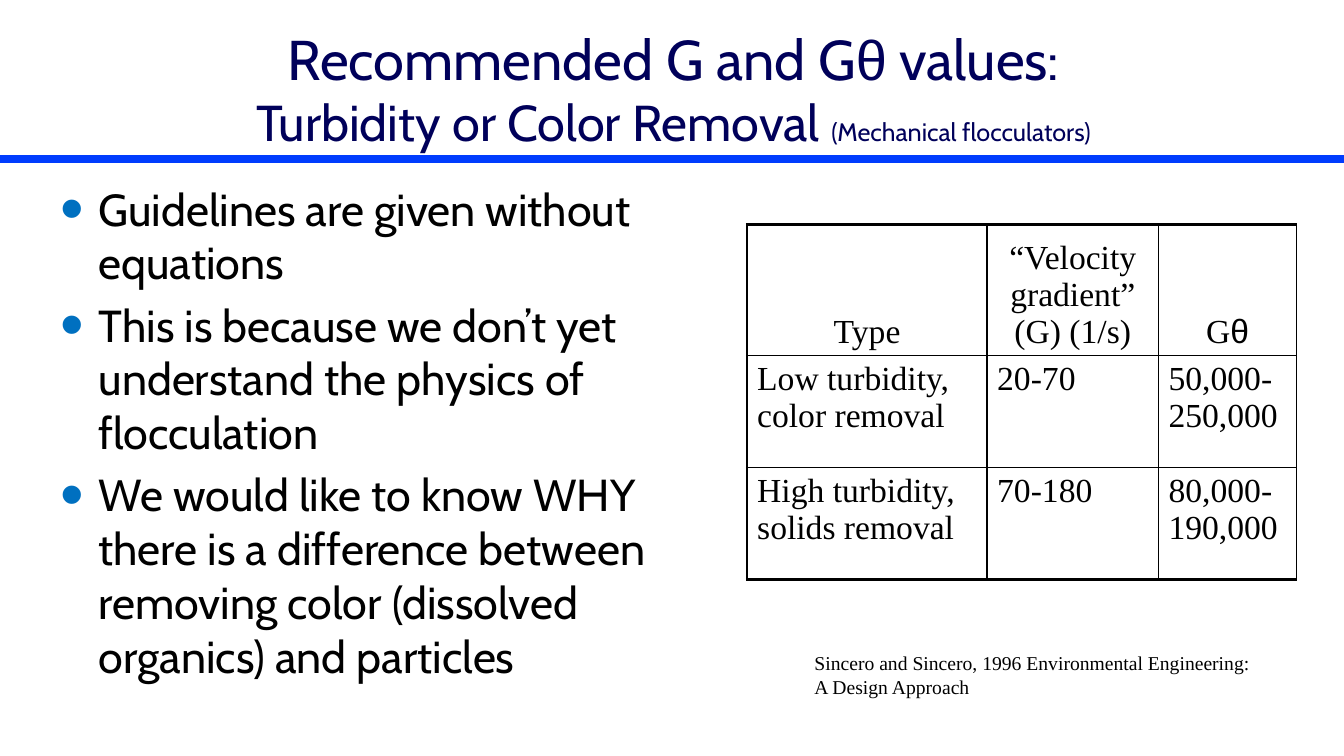
from lxml.etree import SubElement
from pptx import Presentation
from pptx.dml.color import RGBColor
from pptx.enum.shapes import MSO_CONNECTOR
from pptx.enum.text import MSO_ANCHOR, PP_ALIGN
from pptx.oxml.ns import qn
from pptx.util import Emu, Pt

COLORS = {"rule": "003CFE", "title": "00005A", "text": "000000",
          "bullet": "0070C0", "paper": "FFFFFF"}
SANS, SERIF, GREEK = "Cabin", "Times New Roman", "Arial"
WIDE, HIGH = 1333, 750

HEAD = [[("Type", SERIF)], [("“Velocity gradient” (G) (1/s)", SERIF)],
        [("G", SERIF), ("θ", GREEK)]]
DATA = [("Low turbidity, color removal", "20-70", "50,000-250,000"),
        ("High turbidity, solids removal", "70-180", "80,000-190,000")]
ROWS = [HEAD] + [[[(text, SERIF)] for text in row] for row in DATA]
POINTS = [
    "Guidelines are given without equations",
    "This is because we don’t yet understand the physics of flocculation",
    "We would like to know WHY there is a difference between removing color "
    "(dissolved organics) and particles",
]


def px(count):
    """Turn px into EMU, at 100 px to the inch."""
    return Emu(count * 9144)


def color(name):
    return RGBColor.from_string(COLORS[name])


def add_run(para, text, size, font, tint="text"):
    run = para.add_run()
    run.text = text
    run.font.size = Pt(size)
    run.font.name = font
    run.font.color.rgb = color(tint)


def add_box(slide, box, anchor=MSO_ANCHOR.TOP):
    frame = slide.shapes.add_textbox(*map(px, box)).text_frame
    frame.word_wrap = True
    frame.vertical_anchor = anchor
    return frame


def add_rule(slide, top):
    line = slide.shapes.add_connector(
        MSO_CONNECTOR.STRAIGHT, 0, px(top), px(WIDE), px(top))
    line.line.width = Pt(6)
    line.line.color.rgb = color("rule")
    SubElement(line.element.spPr, qn("a:effectLst"))


def add_title(slide, box):
    para = add_box(slide, box, MSO_ANCHOR.MIDDLE).paragraphs[0]
    para.alignment = PP_ALIGN.CENTER
    for text, font in (("Recommended G and G", SANS), ("θ", GREEK),
                       (" values:", SANS)):
        add_run(para, text, 40, font, "title")
    para.add_line_break()
    add_run(para, "Turbidity or Color Removal ", 36, SANS, "title")
    add_run(para, "(Mechanical flocculators)", 18, SANS, "title")


def set_bullet(para):
    props = para._p.get_or_add_pPr()
    props.set("marL", str(px(38)))
    props.set("indent", str(-px(38)))
    tint = SubElement(props, qn("a:buClr"))
    SubElement(tint, qn("a:srgbClr"), val=COLORS["bullet"])
    SubElement(props, qn("a:buSzPct"), val="150000")
    SubElement(props, qn("a:buFont"), typeface=GREEK)
    SubElement(props, qn("a:buChar"), char="•")


def add_points(slide, box):
    frame = add_box(slide, box)
    for i, text in enumerate(POINTS):
        para = frame.add_paragraph() if i else frame.paragraphs[0]
        para.space_before = Pt(6)
        set_bullet(para)
        add_run(para, text, 32, SANS)


def set_edges(cell, widths):
    """Draw the left, right, top and bottom borders of a cell."""
    props = cell._tc.get_or_add_tcPr()
    for side, width in zip("LRTB", widths):
        line = SubElement(props, qn(f"a:ln{side}"), w=str(Pt(width)))
        fill = SubElement(line, qn("a:solidFill"))
        SubElement(fill, qn("a:srgbClr"), val=COLORS["text"])


def add_values(slide, left, top, cols, rows):
    table = slide.shapes.add_table(
        len(rows), len(cols), px(left), px(top),
        px(sum(cols)), px(sum(rows))).table
    table.first_row = table.horz_banding = False
    for col, width in zip(table.columns, cols):
        col.width = px(width)
    for row, height in zip(table.rows, rows):
        row.height = px(height)
    thin, thick = 1, 2.25
    for r, row in enumerate(ROWS):
        for c, runs in enumerate(row):
            cell = table.cell(r, c)
            set_edges(cell, (thin if c else thick, thin,
                             thin if r else thick,
                             thick if r == len(ROWS) - 1 else thin))
            cell.fill.solid()
            cell.fill.fore_color.rgb = color("paper")
            para = cell.text_frame.paragraphs[0]
            if r == 0:
                cell.vertical_anchor = MSO_ANCHOR.BOTTOM
                para.alignment = PP_ALIGN.CENTER
            for text, font in runs:
                add_run(para, text, 24, font)


def add_credit(slide, box):
    para = add_box(slide, box).paragraphs[0]
    add_run(para, "Sincero and Sincero, 1996 Environmental Engineering: "
                  "A Design Approach", 14, SERIF)


def main():
    deck = Presentation()
    deck.slide_width, deck.slide_height = px(WIDE), px(HIGH)
    slide = deck.slides.add_slide(deck.slide_layouts[6])
    add_rule(slide, 158)
    add_title(slide, (50, 25, 1236, 125))
    add_points(slide, (50, 175, 650, 495))
    add_values(slide, 741, 223, (238, 170, 137), (121, 111, 111))
    add_credit(slide, (798, 641, 464, 57))
    deck.save("out.pptx")


if __name__ == "__main__":
    main()
